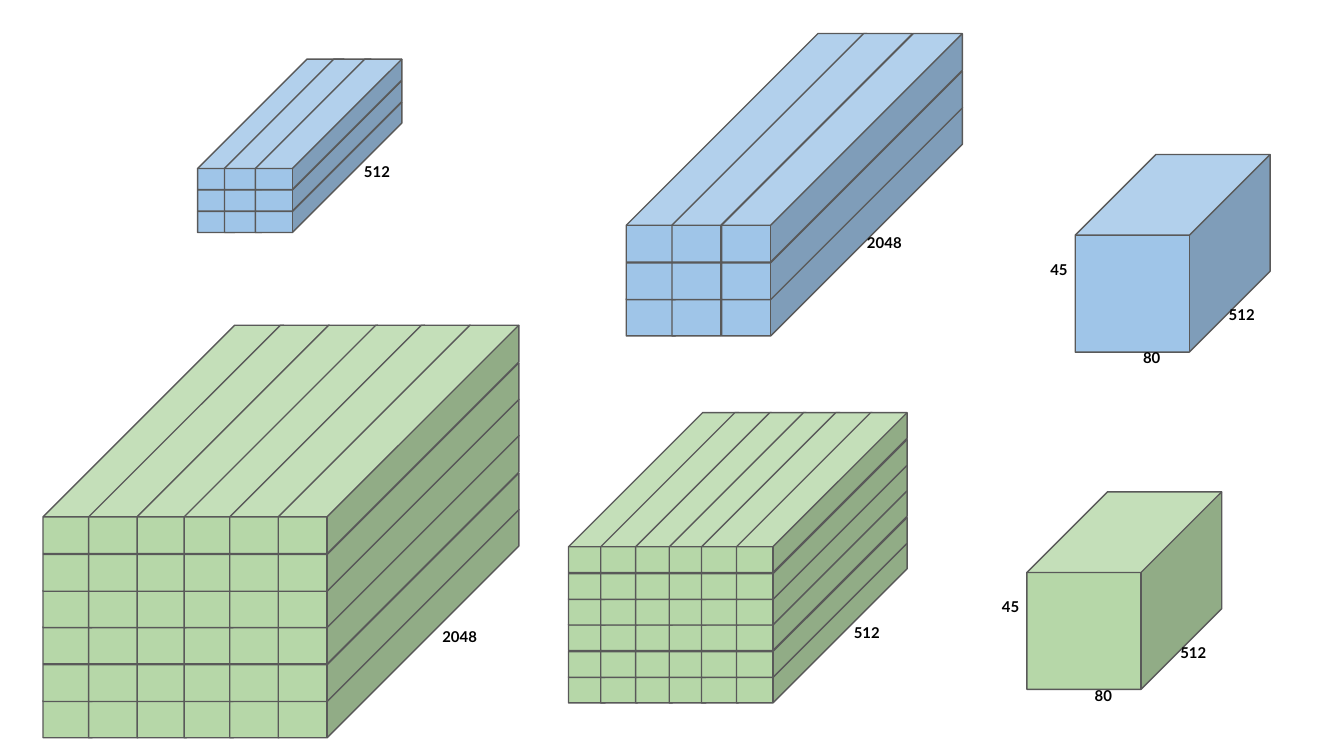
from itertools import product

from pptx import Presentation
from pptx import util as u
from pptx.dml import color
from pptx.enum import shapes, text

PX = 9144  # EMU per px, 100 px to the inch
COLORS = {"blue": "9FC5E8", "green": "B6D7A8", "edge": "595959", "label": "000000"}
LABEL_FONT = {"name": "Lato", "size": u.Pt(8), "bold": True}
LABEL_FRAME = {
    "word_wrap": True, "auto_size": text.MSO_AUTO_SIZE.SHAPE_TO_FIT_TEXT,
    "margin_left": 10 * PX, "margin_right": 10 * PX,
    "margin_top": 10 * PX, "margin_bottom": 10 * PX,
}
LABEL_HEIGHT = 34
LONG_DEPTH, SHORT_DEPTH = 0.839, 0.414


def rgb(name):
    return color.RGBColor.from_string(COLORS[name])


class Diagram:
    """Holds the style, the current slide and the group being filled."""

    def __init__(self, width):
        self.deck = Presentation()
        self.deck.slide_width = width * PX
        self.deck.slide_height = width * PX * 9 // 16
        self.slide = self.deck.slides.add_slide(self.deck.slide_layouts[6])
        self.group = None

    def start_group(self):
        self.group = self.slide.shapes.add_group_shape()

    def cube(self, left, top, width, height, fill, depth):
        cube = self.group.shapes.add_shape(
            shapes.MSO_SHAPE.CUBE, left * PX, top * PX, width * PX, height * PX)
        cube.adjustments[0] = depth
        cube.shadow.inherit = False
        cube.fill.solid()
        cube.fill.fore_color.rgb = rgb(fill)
        cube.line.color.rgb = rgb("edge")
        cube.line.width = u.Pt(0.75)

    def label(self, wording, left, top, width=56):
        label = self.group.shapes.add_textbox(
            left * PX, top * PX, width * PX, LABEL_HEIGHT * PX)
        for key, value in LABEL_FRAME.items():
            setattr(label.text_frame, key, value)
        paragraph = label.text_frame.paragraphs[0]
        paragraph.alignment = text.PP_ALIGN.CENTER
        run = paragraph.add_run()
        run.text = wording
        for key, value in LABEL_FONT.items():
            setattr(run.font, key, value)
        run.font.color.rgb = rgb("label")

    def stack(self, left, bottom_top, size, fill, columns, rows, label,
              banks=1, bank_step=(0, 0)):
        """Banks of 3 x 3 cubes, drawn upwards and to the right."""
        self.start_group()
        for bank_row, bank_column in product(range(banks), repeat=2):
            for rise, shift in product(rows, columns):
                self.cube(left + bank_column * bank_step[0] + shift,
                          bottom_top - bank_row * bank_step[1] - rise,
                          *size, fill, LONG_DEPTH)
        self.label(*label)

    def block(self, left, top, fill):
        """A single cube labelled with its height, width and depth."""
        self.start_group()
        self.cube(left, top, 145, 147, fill, SHORT_DEPTH)
        for wording, dx, dy in (("45", -40, 72), ("80", 29, 138), ("512", 96, 106)):
            self.label(wording, left + dx, top + dy)


def main():
    diagram = Diagram(1000)

    # Green: output block, large and medium 6 x 6 stacks
    diagram.block(764, 366, "green")
    diagram.stack(32, 379, (179, 170), "green", (0, 34, 70), (0, 27, 55),
                  ("2048", 313, 460, 58), banks=2, bank_step=(105, 82))
    diagram.stack(423, 404, (127, 119), "green", (0, 24, 50), (0, 19, 39),
                  ("512", 617, 457), banks=2, bank_step=(75, 58))

    # Blue: large and small 3 x 3 stacks, output block
    diagram.stack(466, 80, (179, 170), "blue", (0, 34, 71), (0, 27, 55),
                  ("2048", 629, 167, 58))
    diagram.stack(147, 76, (109, 97), "blue", (0, 20, 43), (0, 16, 32),
                  ("512", 258, 114, 45))
    diagram.block(800, 115, "blue")

    diagram.deck.save("out.pptx")


if __name__ == "__main__":
    main()
